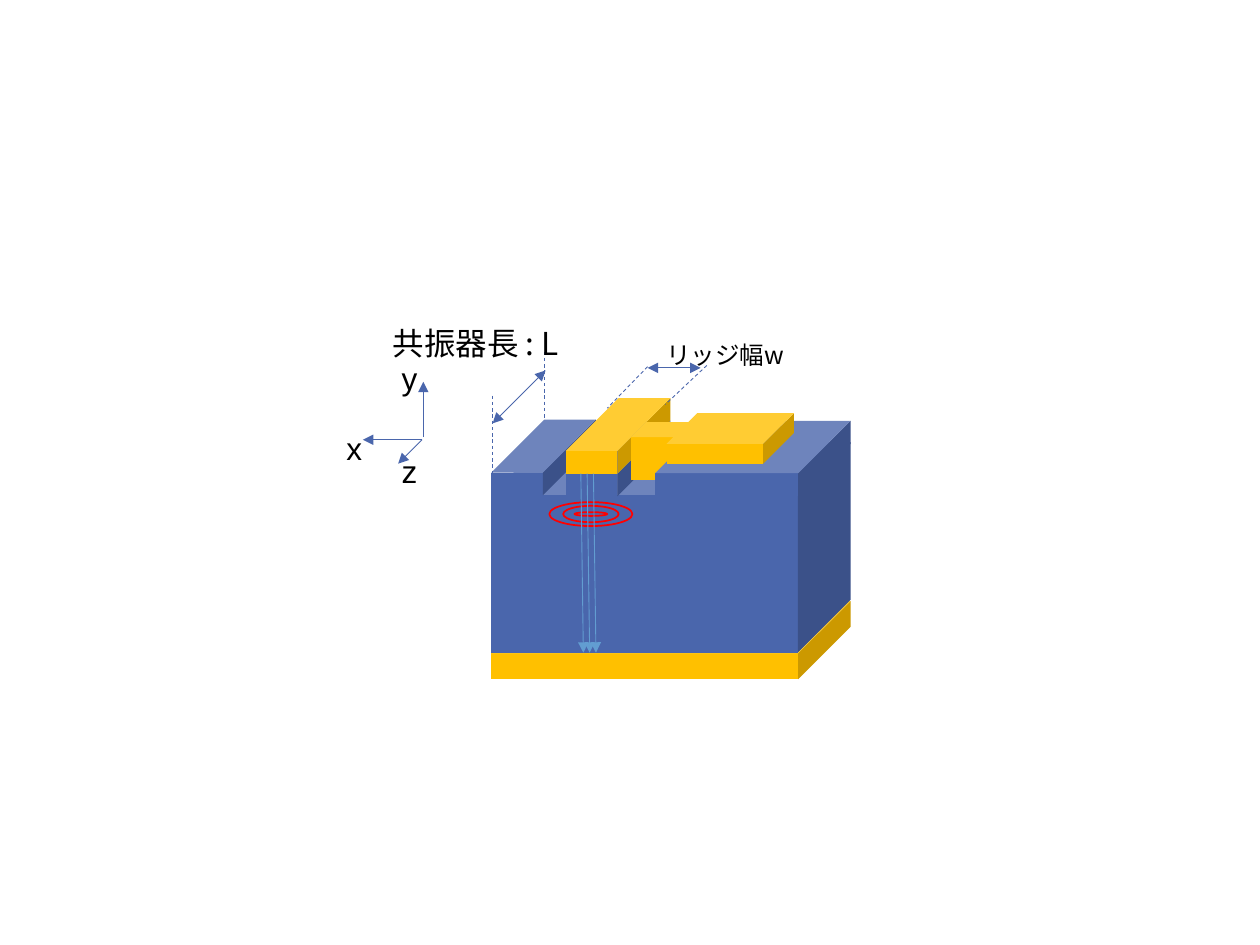
from lxml import etree
from pptx import Presentation
from pptx.dml.color import RGBColor
from pptx.enum import dml, shapes, text
from pptx.oxml import ns
from pptx.util import Inches, Pt

BLUE, GOLD, RED, SKY, BLACK = "4A66AC", "FFC000", "FF0000", "629DD1", "000000"
CJK, LATIN = "Noto Sans CJK JP", "Arial"

CUBES = [
    (3.9, 4.77, 2.85, 0.62, 0.669, GOLD),
    (3.9, 3.51, 2.85, 1.67, 0.25, BLUE),
    (4.49, 3.34, 0.83, 0.6, 0.701, BLUE),
    (3.9, 3.33, 0.83, 0.6, 0.701, BLUE),
    (4.49, 3.16, 0.83, 0.6, 0.699, GOLD),
    (5.01, 3.35, 0.49, 0.46, 0.259, GOLD),
    (5.2, 3.34, 1.55, 0.6, 0.693, BLUE),
    (5.29, 3.28, 1.01, 0.4, 0.607, GOLD),
]
MODE = (4.69, 4.08)
RINGS = [(0.44, 0.13), (0.26, 0.03), (0.66, 0.19)]
BACK = (4.32, 2.79, 4.32, 4.1)
GUIDES = [
    (5.14, 2.91, 4.82, 3.24),
    (5.61, 2.9, 5.28, 3.21),
    (3.91, 3.14, 3.91, 4.46),
]
SPANS = [(5.14, 2.92, 5.56, 2.92), (3.91, 3.36, 4.33, 2.94)]
AXES = [
    (3.36, 3.47, 3.36, 3.03),
    (3.35, 3.49, 3.16, 3.68),
    (3.35, 3.49, 2.88, 3.49),
]
BEAMS = [4.66, 4.71, 4.61]
LABELS = [
    ("リッジ幅w", 5.19, 2.65, 1.47, 0.34, 14, CJK),
    ("共振器長 : L", 3.02, 2.52, 2.05, 0.4, 18, CJK),
    ("x", 2.65, 3.36, 0.4, 0.4, 18, LATIN),
    ("y", 3.09, 2.8, 0.4, 0.4, 18, LATIN),
    ("z", 3.09, 3.54, 0.4, 0.4, 18, LATIN),
]


def paint(color, code):
    color.rgb = RGBColor.from_string(code)


def block(x, y, w, h, depth, code):
    cube = slide.shapes.add_shape(shapes.MSO_SHAPE.CUBE, *map(Inches, (x, y, w, h)))
    cube.adjustments[0] = depth
    cube.shadow.inherit = False
    cube.fill.solid()
    paint(cube.fill.fore_color, code)
    cube.line.fill.background()


def ring(w, h):
    x, y = MODE[0] - w / 2, MODE[1] - h / 2
    oval = slide.shapes.add_shape(shapes.MSO_SHAPE.OVAL, *map(Inches, (x, y, w, h)))
    oval.shadow.inherit = False
    oval.fill.background()
    oval.line.width = Pt(1)
    paint(oval.line.color, RED)


def rule(ends, code=BLUE, tips=(), dash=False):
    link = slide.shapes.add_connector(shapes.MSO_CONNECTOR.STRAIGHT, *map(Inches, ends))
    link.line.width = Pt(0.5)
    paint(link.line.color, code)
    if dash:
        link.line.dash_style = dml.MSO_LINE.DASH
    props = link._element.spPr
    for tip in tips:
        etree.SubElement(props.find(ns.qn("a:ln")), ns.qn("a:" + tip), type="triangle")
    etree.SubElement(props, ns.qn("a:effectLst"))


def label(words, x, y, w, h, size, face):
    box = slide.shapes.add_textbox(*map(Inches, (x, y, w, h)))
    frame = box.text_frame
    frame.word_wrap = True
    frame.auto_size = text.MSO_AUTO_SIZE.SHAPE_TO_FIT_TEXT
    frame.text = words
    font = frame.paragraphs[0].runs[0].font
    font.size, font.name = Pt(size), face
    paint(font.color, BLACK)
    etree.SubElement(font._element, ns.qn("a:ea"), typeface=face)


deck = Presentation()
deck.slide_width, deck.slide_height = Inches(10), Inches(7.5)
slide = deck.slides.add_slide(deck.slide_layouts[6])

rule(BACK, dash=True)
for cube in CUBES:
    block(*cube)
for size in RINGS:
    ring(*size)
for ends in GUIDES:
    rule(ends, dash=True)
for ends in SPANS:
    rule(ends, tips=("headEnd", "tailEnd"))
for x in BEAMS:
    rule((x, 3.76, x + 0.02, 5.18), SKY, ("tailEnd",))
for ends in AXES:
    rule(ends, tips=("tailEnd",))
for item in LABELS:
    label(*item)

deck.save("out.pptx")
